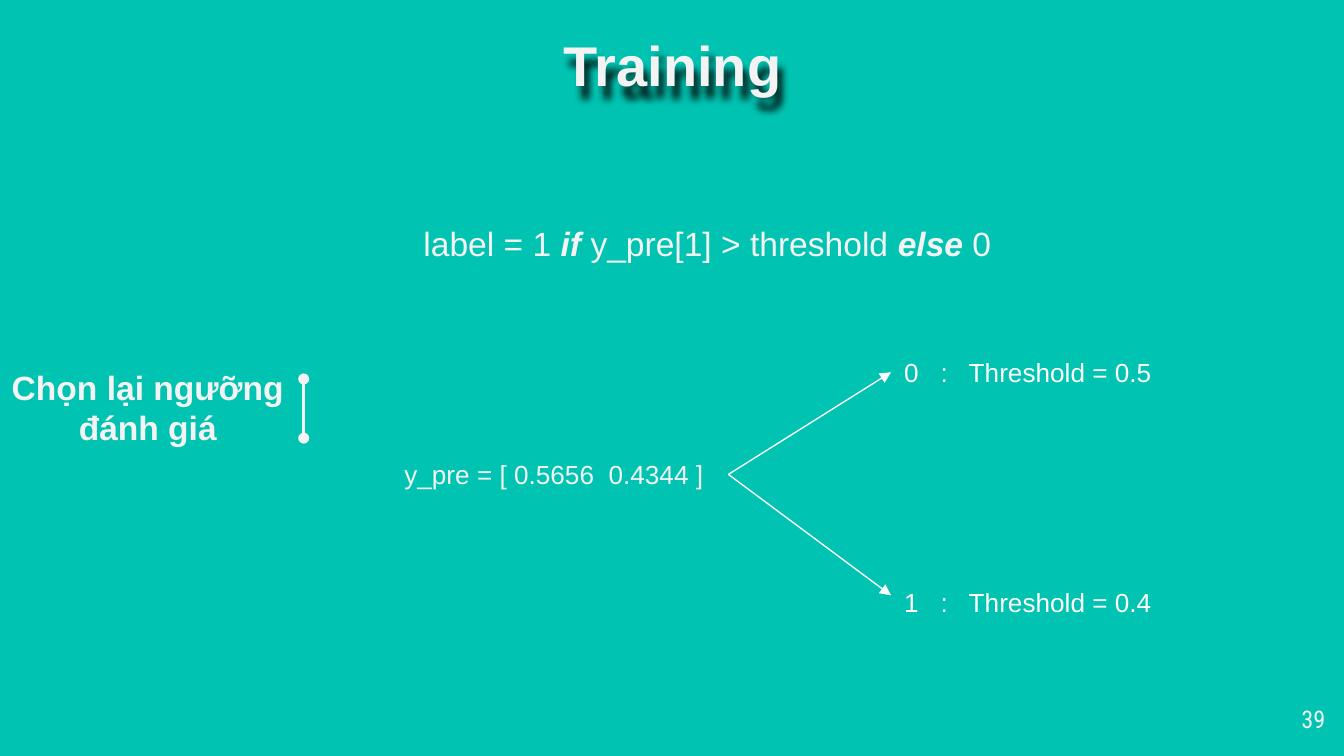
import pptx
import pptx.util
import pptx.dml.color
import pptx.enum.shapes
import pptx.enum.text
import pptx.oxml.ns
from lxml import etree

Inches, Pt = pptx.util.Inches, pptx.util.Pt
RGBColor = pptx.dml.color.RGBColor
Align = pptx.enum.text.PP_ALIGN
qn = pptx.oxml.ns.qn

TEAL = RGBColor(0x00, 0xC3, 0xB1)
PALE = RGBColor(0xF3, 0xF3, 0xF3)
WHITE = RGBColor(0xFF, 0xFF, 0xFF)
BLACK = RGBColor(0x00, 0x00, 0x00)

TITLE = "Training"
STEP_NAME = ["Chọn lại ngưỡng", "đánh giá"]
RULE = ["label = 1 ", "if", " y_pre[1] > threshold ", "else", " 0"]
KEYWORDS = ("if", "else")
PREDICTION = "y_pre = [ 0.5656\t0.4344 ]"
PREDICTION_TABS = [1.52]
OUTCOME_TABS = [0.27, 0.48]
# text, box top, height at which the arrow ends
OUTCOMES = [
    ("0\t:\tThreshold = 0.5", 2.55, 2.77),
    ("1\t:\tThreshold = 0.4", 4.26, 4.43),
]
PAGE_NUMBER = "39"

OUTCOME_LEFT, OUTCOME_WIDTH, LABEL_HEIGHT = 6.63, 2.06, 0.44
PREDICTION_BOX = (2.91, 3.31, 2.51, LABEL_HEIGHT)


def fill_text(shape, lines, size, color=PALE, bold=False, font="Arial",
              align=Align.LEFT, margins=(0.1, 0.1), wrap=True, tabs=()):
    """Write the lines, each a string or a list of run strings."""
    frame = shape.text_frame
    frame.word_wrap = wrap
    frame.auto_size = pptx.enum.text.MSO_AUTO_SIZE.NONE
    frame.vertical_anchor = pptx.enum.text.MSO_ANCHOR.TOP
    frame.margin_left = frame.margin_right = Inches(margins[0])
    frame.margin_top = frame.margin_bottom = Inches(margins[1])
    for index, line in enumerate(lines):
        paragraph = frame.add_paragraph() if index else frame.paragraphs[0]
        paragraph.alignment = align
        if tabs:
            tab_list = etree.SubElement(
                paragraph._p.get_or_add_pPr(), qn("a:tabLst"))
            for position in tabs:
                etree.SubElement(tab_list, qn("a:tab"),
                                 pos=str(Inches(position)), algn="l")
        for text in [line] if isinstance(line, str) else line:
            run = paragraph.add_run()
            run.text = text
            run.font.name = font
            run.font.size = Pt(size)
            run.font.color.rgb = color
            run.font.bold = bold


def add_text(slide, box, lines, size, **options):
    shape = slide.shapes.add_textbox(*map(Inches, box))
    fill_text(shape, lines, size, **options)
    return shape


def add_line(slide, start, end, color, width, **ends):
    """Draw a straight line; ends maps headEnd and tailEnd to a type."""
    connector = slide.shapes.add_connector(
        pptx.enum.shapes.MSO_CONNECTOR.STRAIGHT,
        *map(Inches, (*start, *end)))
    connector.line.color.rgb = color
    connector.line.width = Pt(width)
    line = connector.line._get_or_add_ln()
    for name, kind in ends.items():
        etree.SubElement(line, qn("a:" + name), type=kind)
    etree.SubElement(connector._element.spPr, qn("a:effectLst"))
    return connector


def add_shadow(shape):
    """Cast a soft shadow; on an unfilled shape it falls behind the text."""
    shape.fill.background()
    effects = etree.SubElement(shape._element.spPr, qn("a:effectLst"))
    shadow = etree.SubElement(
        effects, qn("a:outerShdw"), blurRad=str(Pt(4)), dist=str(Pt(6)),
        dir=str(70 * 60000), algn="bl", rotWithShape="0")
    color = etree.SubElement(shadow, qn("a:srgbClr"), val=str(BLACK))
    etree.SubElement(color, qn("a:alpha"), val="85000")


def main():
    presentation = pptx.Presentation()
    presentation.slide_width = Inches(10)
    presentation.slide_height = Inches(10) * 9 // 16
    slide = presentation.slides.add_slide(presentation.slide_layouts[5])
    slide.background.fill.solid()
    slide.background.fill.fore_color.rgb = TEAL

    title = slide.shapes.title
    title.left, title.top, title.width, title.height = map(
        Inches, (0.79, 0.13, 8.43, 0.63))
    fill_text(title, [TITLE], 30, bold=True, align=Align.CENTER)
    add_shadow(title)

    add_text(slide, (0.09, 2.73, 2.02, 0.63), STEP_NAME, 18, bold=True,
             align=Align.CENTER, margins=(0, 0), wrap=False)
    add_line(slide, (2.26, 3.26), (2.26, 2.82), PALE, 1.5,
             headEnd="oval", tailEnd="oval")

    rule = add_text(slide, (3.15, 1.66, 4.29, 0.44), [RULE], 18,
                    margins=(0, 0))
    for run in rule.text_frame.paragraphs[0].runs:
        run.font.bold = run.font.italic = run.text in KEYWORDS

    prediction = add_text(slide, PREDICTION_BOX, [PREDICTION], 14,
                          tabs=PREDICTION_TABS)
    left, top, width, height = PREDICTION_BOX
    arrow_start = (left + width, top + height / 2)
    for text, outcome_top, arrow_end in OUTCOMES:
        outcome = add_text(
            slide, (OUTCOME_LEFT, outcome_top, OUTCOME_WIDTH, LABEL_HEIGHT),
            [text], 14, color=WHITE, tabs=OUTCOME_TABS)
        arrow = add_line(slide, arrow_start, (OUTCOME_LEFT, arrow_end),
                         WHITE, 0.75, tailEnd="triangle")
        arrow.begin_connect(prediction, 3)
        if abs(outcome_top + LABEL_HEIGHT / 2 - arrow_end) < 0.01:
            arrow.end_connect(outcome, 1)

    add_text(slide, (9.36, 5.19, 0.6, 0.43), [PAGE_NUMBER], 13,
             font="Roboto Condensed", align=Align.RIGHT, margins=(0.1, 0.05))
    presentation.save("out.pptx")


if __name__ == "__main__":
    main()
